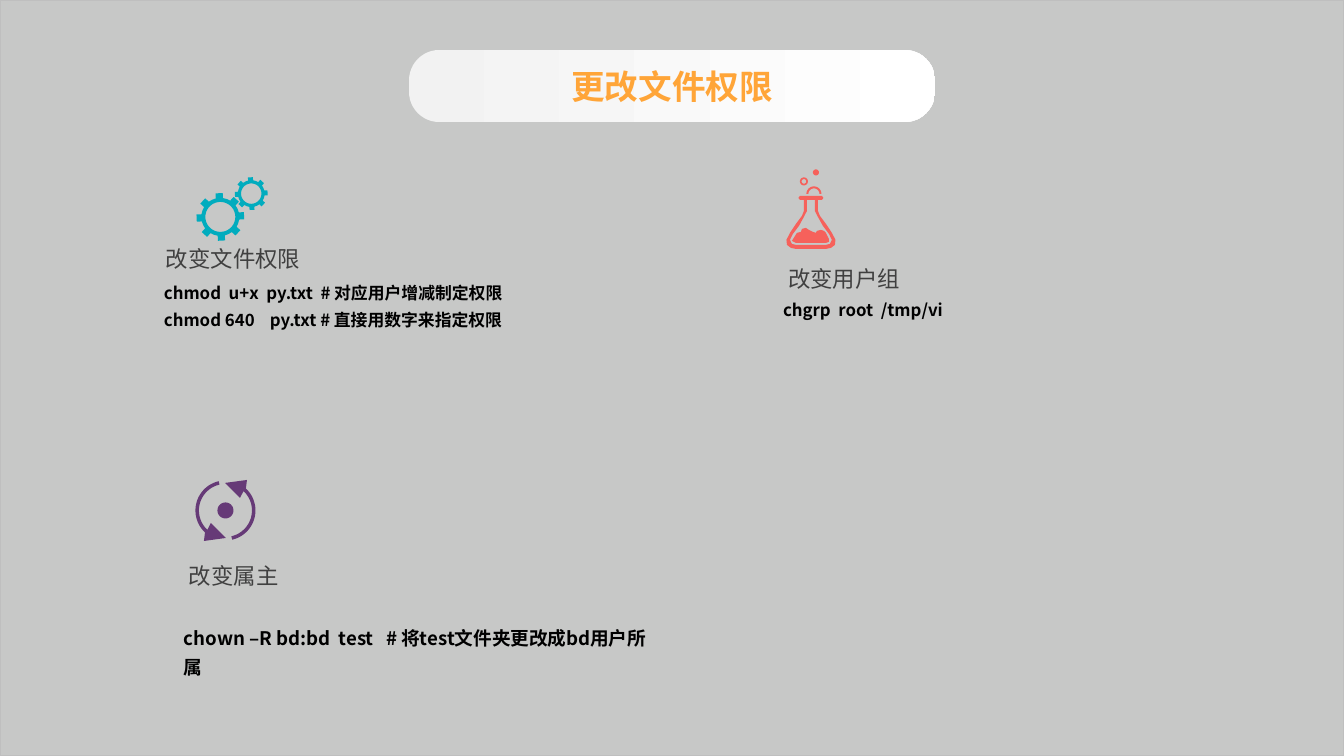
from math import cos, pi, radians, sin

from lxml.etree import SubElement
from pptx import Presentation
from pptx.dml.color import RGBColor as Rgb
from pptx.enum.shapes import MSO_SHAPE as Shape
from pptx.enum.text import MSO_ANCHOR as Anchor, MSO_AUTO_SIZE as Fit, PP_ALIGN as Align
from pptx.oxml.ns import qn
from pptx.util import Pt

SCALE = 914400 / 134.4  # EMU in one px
FINE = 100  # freeform steps in one px
WIDE, HIGH = 1344, 756
FONT = "Noto Sans CJK SC"
HUES = {
    "veil": "020701", "edge": "BFBFBF", "pale": "F2F2F2", "white": "FFFFFF",
    "title": "FFA538", "head": "404040", "code": "000000",
    "gear": "01ACBE", "flask": "F6615B", "cycle": "663A77",
}


def px(num):
    return round(num * SCALE)


def hue(name):
    return Rgb.from_string(HUES[name])


def place(item, box):
    item.left, item.top, item.width, item.height = map(px, box)


def write(item, lines, size, color, bold=False, align=Align.LEFT,
          anchor=Anchor.TOP, gap=None, pad=(13, 7)):
    """Fill a shape with formatted paragraphs."""
    frame = item.text_frame
    frame.word_wrap, frame.auto_size = True, Fit.NONE
    frame.vertical_anchor = anchor
    frame.margin_left = frame.margin_right = px(pad[0])
    frame.margin_top = frame.margin_bottom = px(pad[1])
    for num, line in enumerate(lines):
        para = frame.add_paragraph() if num else frame.paragraphs[0]
        para.alignment = align
        if gap:
            para.line_spacing = gap
        run = para.add_run()
        run.text = line
        font = run.font
        font.name, font.size, font.bold = FONT, Pt(size), bold
        font.color.rgb = hue(color)
        SubElement(run._r.get_or_add_rPr(), qn("a:ea"), typeface=FONT)


def label(slide, box, lines, **form):
    write(slide.shapes.add_textbox(*map(px, box)), lines, **form)


def panel(slide, kind, box):
    item = slide.shapes.add_shape(kind, *map(px, box))
    item.shadow.inherit = False
    return item


def draw(slide, loops, color):
    """Draw closed outlines as one freeform; inner loops cut holes."""
    loops = [[(x * FINE, y * FINE) for x, y in loop] for loop in loops]
    form = slide.shapes.build_freeform(*loops[0][0], scale=SCALE / FINE)
    for num, loop in enumerate(loops):
        if num:
            form.move_to(*loop[0])
        form.add_line_segments(loop[1:], close=True)
    item = form.convert_to_shape()
    item.shadow.inherit = False
    item.fill.solid()
    item.fill.fore_color.rgb = hue(color)
    item.line.fill.background()


def arc(mid, rad, start=0, end=360, steps=36):
    turns = [radians(start + (end - start) * n / steps) for n in range(steps + 1)]
    return [(mid[0] + rad * cos(t), mid[1] + rad * sin(t)) for t in turns]


def gear(mid, tip, root, hole, teeth=8, tilt=-0.05):
    """Return the toothed rim and the hole of a gear."""
    rim = []
    for num in range(teeth):
        turn = tilt + num * 2 * pi / teeth
        for rad, off in ((root, -0.19), (tip, -0.15), (tip, 0.15),
                         (root, 0.19), (root, pi / teeth)):
            rim.append((mid[0] + rad * cos(turn + off), mid[1] + rad * sin(turn + off)))
    return [rim, arc(mid, hole)]


def mirror(axis, half):
    return [(axis + x, y) for x, y in half] + [(axis - x, y) for x, y in half[::-1]]


def flask():
    glass = mirror(811, [(0, 196), (11, 196), (12.5, 198), (11, 200), (7, 200),
                         (7, 211), (9, 216), (15, 224), (21, 233), (24.5, 240),
                         (24, 245), (20, 248), (15, 249), (0, 249)])
    space = mirror(811, [(0, 200), (4, 200), (4, 211), (7, 217), (12, 226),
                         (18, 234), (21, 240), (19, 244), (15, 245), (0, 245)])
    fluid = [(792, 241), (797, 233), (801, 232), (802, 229), (806, 228),
             (809, 230), (813, 232), (816, 233), (817, 231), (821, 230),
             (824, 231), (826, 233), (829, 239), (829, 242), (826, 243), (796, 243)]
    foam = arc((814, 194), 7.5, 180, 360) + arc((814, 194), 5.5, 360, 180)
    ring = [arc((804, 181.5), rad) for rad in (4, 2.3)]
    return [glass, space, fluid, foam, *ring, arc((816, 172.5), 3)]


def cycle(mid=(225.5, 510.5)):
    """Return a dot and two curved arrows, each a half turn from the other."""
    arrow = (arc(mid, 30, 257, 133) + [(204, 541), (226, 538), (211, 523)]
             + arc(mid, 26.5, 133, 257))
    twin = [(2 * mid[0] - x, 2 * mid[1] - y) for x, y in arrow]
    return [arrow, twin, arc(mid, 8)]


def backdrop(slide):
    veil = panel(slide, Shape.RECTANGLE, (0, 0, WIDE, HIGH))
    veil.fill.solid()
    veil.fill.fore_color.rgb = hue("veil")
    tint = veil._element.spPr.find(".//" + qn("a:srgbClr"))
    SubElement(tint, qn("a:alpha"), val="22000")
    veil.line.color.rgb = hue("edge")
    veil.line.width = Pt(1)


def heading(slide, text):
    box = (409, 50, 526, 72)
    pill = panel(slide, Shape.ROUNDED_RECTANGLE, box)
    pill.adjustments[0] = 0.42
    pill.fill.gradient()
    pill.fill.gradient_angle = 0
    for stop, name in zip(pill.fill.gradient_stops, ("pale", "white")):
        stop.color.rgb = hue(name)
    pill.line.fill.background()
    title = slide.shapes.title
    place(title, box)
    write(title, [text], size=18, color="title", bold=True,
          align=Align.CENTER, anchor=Anchor.MIDDLE)
    slide.shapes._spTree.append(title._element)  # bring above the pill


def main():
    deck = Presentation()
    deck.slide_width, deck.slide_height = px(WIDE), px(HIGH)
    slide = deck.slides.add_slide(deck.slide_layouts[5])
    backdrop(slide)
    heading(slide, "更改文件权限")

    # Icons
    gears = gear((220.4, 217), 24, 19, 15) + gear((251.3, 193.7), 16.5, 13.4, 10.2)
    draw(slide, gears, "gear")
    draw(slide, flask(), "flask")
    draw(slide, cycle(), "cycle")

    # Topics: heading box and text, command box, size and lines
    topics = [
        ((153, 238, 183, 40), "改变文件权限", (156, 273, 392, 58), 9,
         ["chmod  u+x  py.txt  # 对应用户增减制定权限",
          "chmod 640    py.txt # 直接用数字来指定权限"]),
        ((775, 258, 155, 40), "改变用户组", (775, 290, 288, 31), 9,
         ["chgrp  root  /tmp/vi"]),
        ((176, 555, 183, 40), "改变属主", (176, 616, 492, 63), 10,
         ["chown –R bd:bd  test   # 将test文件夹更改成bd用户所属"]),
    ]
    for top, name, box, size, lines in topics:
        label(slide, top, [name], size=12, color="head")
        label(slide, box, lines, size=size, color="code", bold=True, gap=1.3, pad=(8, 4))

    deck.save("out.pptx")


if __name__ == "__main__":
    main()
